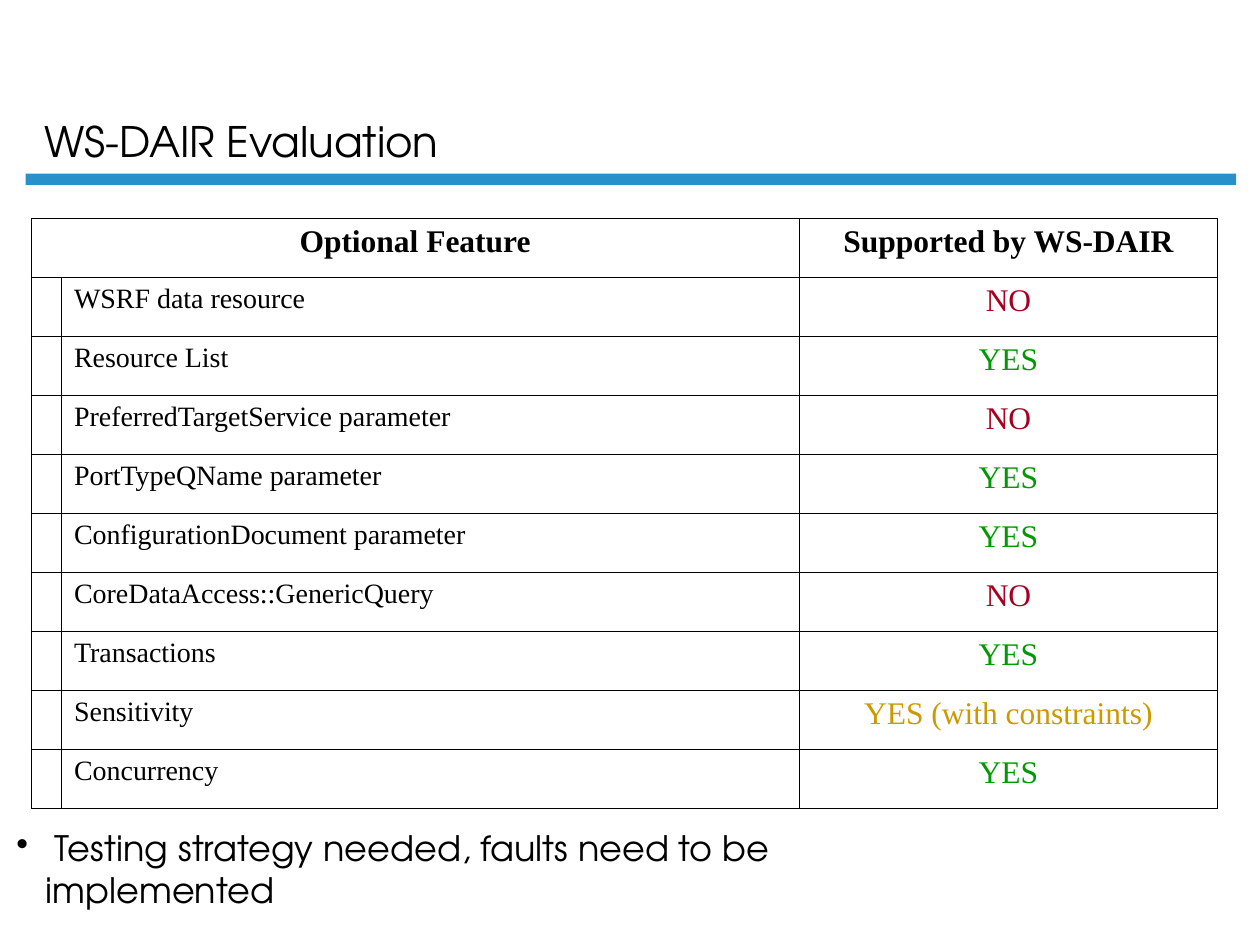
import pptx
import pptx.dml.color
import pptx.enum.shapes
import pptx.enum.text
import pptx.oxml
import pptx.oxml.ns
import pptx.util

Cm = pptx.util.Cm
Pt = pptx.util.Pt
ALIGN = pptx.enum.text.PP_ALIGN
ANCHOR = pptx.enum.text.MSO_ANCHOR

COLOURS = {
    "ink": "000000",
    "rule": "2990CA",
    "no": "A50021",
    "yes": "009900",
    "partly": "CC9900",
}
HEADINGS = ("Optional Feature", "Supported by WS-DAIR")
FEATURES = [
    ("WSRF data resource", "NO", "no"),
    ("Resource List", "YES", "yes"),
    ("PreferredTargetService parameter", "NO", "no"),
    ("PortTypeQName parameter", "YES", "yes"),
    ("ConfigurationDocument parameter", "YES", "yes"),
    ("CoreDataAccess::GenericQuery", "NO", "no"),
    ("Transactions", "YES", "yes"),
    ("Sensitivity", "YES (with constraints)", "partly"),
    ("Concurrency", "YES", "yes"),
]


def colour(name):
    return pptx.dml.color.RGBColor.from_string(COLOURS[name])


def write(frame, text, *, font, size, ink="ink", bold=False, align=ALIGN.LEFT):
    """Put formatted text in the first paragraph of a text frame."""
    paragraph = frame.paragraphs[0]
    paragraph.alignment = align
    run = paragraph.add_run()
    run.text = text
    run.font.name = font
    run.font.size = Pt(size)
    run.font.bold = bold
    run.font.color.rgb = colour(ink)
    return paragraph


class SlideBuilder:
    """Holds the style and the current slide."""

    display_font = "TeX Gyre Adventor"
    table_font = "Times New Roman"
    border_width = Pt(0.45)

    def __init__(self, slide):
        self.slide = slide

    def bar(self, left, top, width, height):
        rule = self.slide.shapes.add_shape(
            pptx.enum.shapes.MSO_SHAPE.RECTANGLE, Cm(left), Cm(top), Cm(width), Cm(height))
        rule.shadow.inherit = False
        rule.fill.solid()
        rule.fill.fore_color.rgb = colour("rule")
        rule.line.fill.background()

    def text(self, words, left, top, width, height, size, anchor=ANCHOR.TOP):
        frame = self.slide.shapes.add_textbox(
            Cm(left), Cm(top), Cm(width), Cm(height)).text_frame
        frame.word_wrap = True
        frame.vertical_anchor = anchor
        return write(frame, words, font=self.display_font, size=size)

    def bullet(self, words, left, top, width, height, size, indent):
        paragraph = self.text(words, left, top, width, height, size)
        properties = paragraph._p.get_or_add_pPr()
        properties.set("marL", str(Cm(indent)))
        properties.set("indent", str(-Cm(indent)))
        properties.append(pptx.oxml.parse_xml(
            f'<a:buChar {pptx.oxml.ns.nsdecls("a")} char="•"/>'))

    def cell_style(self, cell):
        properties = cell._tc.get_or_add_tcPr()
        for side in ("lnL", "lnR", "lnT", "lnB"):
            properties.append(pptx.oxml.parse_xml(
                f'<a:{side} {pptx.oxml.ns.nsdecls("a")} w="{self.border_width}">'
                f'<a:solidFill><a:srgbClr val="{COLOURS["ink"]}"/></a:solidFill></a:{side}>'))
        cell.fill.background()

    def feature_table(self, left, top, column_widths, row_height):
        row_count = len(FEATURES) + 1
        table = self.slide.shapes.add_table(
            row_count, len(column_widths), Cm(left), Cm(top),
            Cm(sum(column_widths)), Cm(row_height * row_count)).table
        table.first_row = False
        table.horz_banding = False
        for column, width in zip(table.columns, column_widths):
            column.width = Cm(width)
        for row in table.rows:
            row.height = Cm(row_height)
        for cell in table.iter_cells():
            self.cell_style(cell)

        # Headings: the first one spans the two left columns
        table.cell(0, 0).merge(table.cell(0, 1))
        for column, heading in zip((0, 2), HEADINGS):
            write(table.cell(0, column).text_frame, heading, font=self.table_font,
                  size=18, bold=True, align=ALIGN.CENTER)

        # One row for each feature
        for row, (feature, support, ink) in enumerate(FEATURES, start=1):
            write(table.cell(row, 1).text_frame, feature, font=self.table_font, size=16)
            write(table.cell(row, 2).text_frame, support, font=self.table_font,
                  size=18, ink=ink, align=ALIGN.CENTER)


def main():
    deck = pptx.Presentation()
    deck.slide_width, deck.slide_height = Cm(25.4), Cm(19.05)
    builder = SlideBuilder(deck.slides.add_slide(deck.slide_layouts[6]))

    # Title and rule
    builder.bar(0.52, 3.5, 24.4, 0.23)
    builder.text("WS-DAIR Evaluation", 0.64, 0.3, 21.74, 3.18, 24, ANCHOR.BOTTOM)

    # Evaluation table
    builder.feature_table(0.63, 4.4, (0.61, 14.87, 8.44), 1.19)

    # Closing remark
    builder.bullet(" Testing strategy needed, faults need to be implemented",
                   0.08, 16.54, 19.58, 1.12, 20, 0.58)

    deck.save("out.pptx")


if __name__ == "__main__":
    main()
